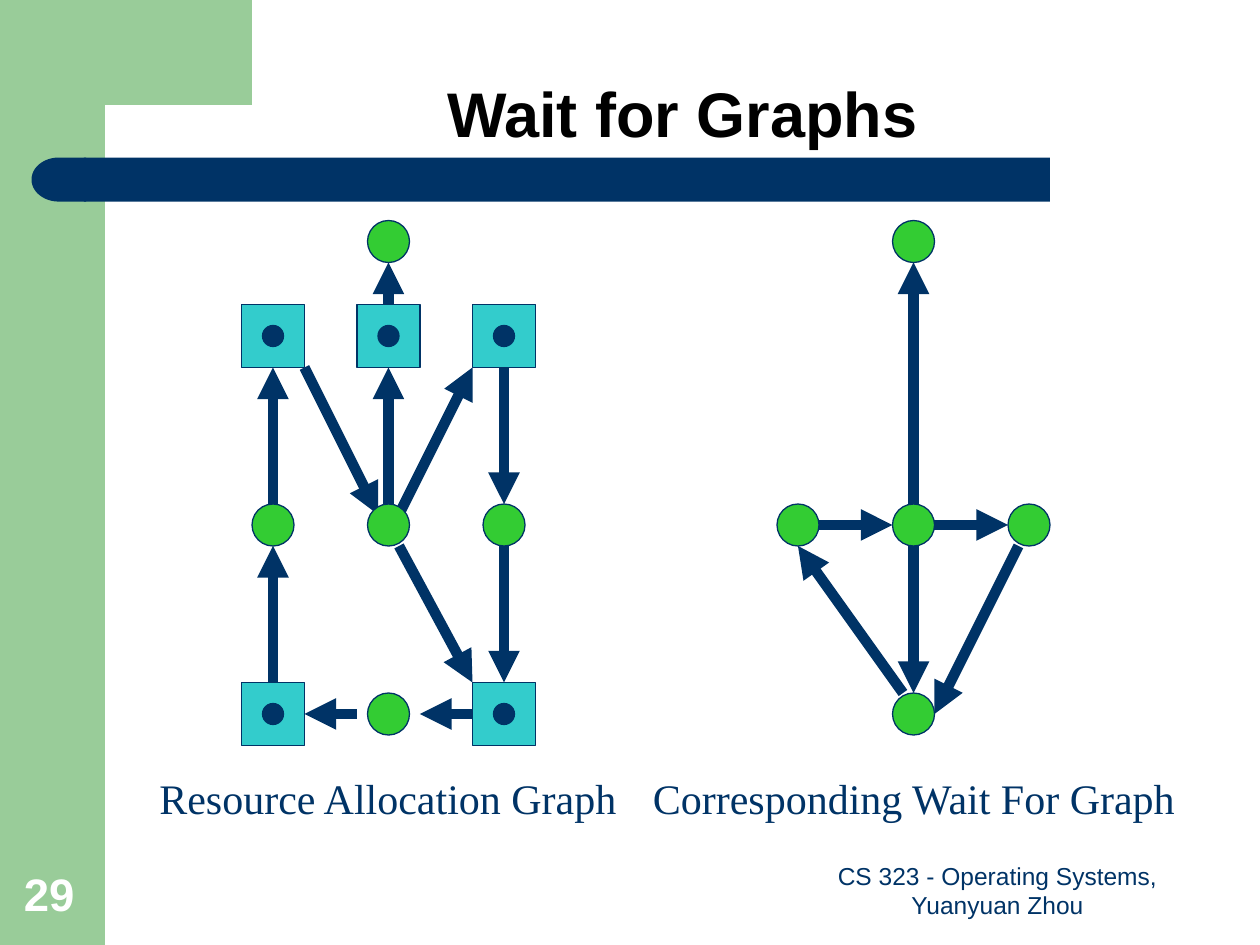
import pptx
import pptx.util
import pptx.dml.color
import pptx.enum.shapes
import pptx.enum.text
import pptx.oxml

RGB = pptx.dml.color.RGBColor
NAVY = RGB(0x00, 0x33, 0x66)
SAGE = RGB(0x99, 0xCC, 0x99)
GREEN = RGB(0x33, 0xCC, 0x33)
TEAL = RGB(0x33, 0xCC, 0xCC)
BLACK = RGB(0, 0, 0)
WHITE = RGB(0xFF, 0xFF, 0xFF)

KIND = pptx.enum.shapes.MSO_SHAPE
FIT = pptx.enum.text.MSO_AUTO_SIZE
BASE = pptx.enum.text.MSO_ANCHOR.BOTTOM
MID = pptx.enum.text.PP_ALIGN.CENTER
LEFT = pptx.enum.text.PP_ALIGN.LEFT
SPACE = 'xmlns:a="http://schemas.openxmlformats.org/drawingml/2006/main"'

COLS, ROWS = 120, 90

PROCS = [(37, 23), (26, 50), (37, 50), (48, 50), (37, 68),
         (87, 23), (76, 50), (87, 50), (98, 50), (87, 68)]
STORES = [(26, 32), (37, 32), (48, 32), (26, 68), (48, 68)]
ARROWS = [
    (37, 48, 37, 35), (37, 29, 37, 25), (38, 49, 45, 35), (29, 35, 36, 49),
    (38, 52, 45, 65), (48, 52, 48, 65), (26, 65, 26, 52), (26, 48, 26, 35),
    (34, 68, 29, 68), (45, 68, 40, 68), (48, 35, 48, 48),
    (87, 48, 87, 25), (89, 50, 96, 50), (87, 52, 87, 66),
    (86, 66, 76, 52), (78, 50, 85, 50), (97, 52, 89, 68),
]
CORNER = [(24, 0), (24, 10), (10, 10), (9.2, 10.2), (8.5, 11), (8.2, 12.5),
          (8, 14), (8, 15.4), (6, 15.4), (6, 0)]


class Page:
    def __init__(self, deck):
        self.slide = deck.slides.add_slide(deck.slide_layouts[5])
        self.shapes = self.slide.shapes
        self.cell = deck.slide_width / COLS

    def grid(self, *cells):
        return [round(n * self.cell) for n in cells]

    def paint(self, shape, fill, line=None):
        shape.shadow.inherit = False
        shape.fill.solid()
        shape.fill.fore_color.rgb = fill
        if line is None:
            shape.line.fill.background()
        else:
            shape.line.color.rgb = line
            shape.line.width = pptx.util.Pt(0.75)

    def block(self, kind, box, fill, line=None):
        shape = self.shapes.add_shape(kind, *self.grid(*box))
        self.paint(shape, fill, line)
        return shape

    def node(self, kind, spot, size, fill):
        x, y = spot
        self.block(kind, (x - size / 2, y - size / 2, size, size), fill, NAVY)

    def store(self, spot):
        self.node(KIND.RECTANGLE, spot, 6, TEAL)
        self.node(KIND.OVAL, spot, 2, NAVY)

    def outline(self, points, fill):
        path = self.shapes.build_freeform(*points[0], scale=self.cell)
        path.add_line_segments(points[1:], close=True)
        self.paint(path.convert_to_shape(), fill)

    def arrow(self, ends):
        line = self.shapes.add_connector(
            pptx.enum.shapes.MSO_CONNECTOR.STRAIGHT, *self.grid(*ends))
        line.line.color.rgb = NAVY
        line.line.width = pptx.util.Pt(6)
        line.line._get_or_add_ln().append(
            pptx.oxml.parse_xml(f'<a:tailEnd {SPACE} type="triangle"/>'))
        line._element.spPr.append(
            pptx.oxml.parse_xml(f'<a:effectLst {SPACE}/>'))

    def style(self, shape, text, size, font, color, bold=False, align=LEFT):
        shape.text_frame.text = text
        para = shape.text_frame.paragraphs[0]
        para.alignment = align
        face = para.runs[0].font
        face.name, face.size, face.bold = font, pptx.util.Pt(size), bold
        face.color.rgb = color
        return para

    def title(self, box, text):
        shape = self.shapes.title
        shape.left, shape.top, shape.width, shape.height = self.grid(*box)
        para = self.style(shape, text, 36, "Arial", BLACK, True, MID)
        para.line_spacing = 0.9
        shape.text_frame.auto_size = FIT.NONE
        shape.text_frame.vertical_anchor = BASE

    def label(self, box, text):
        shape = self.shapes.add_textbox(*self.grid(*box))
        self.style(shape, text, 24, "Times New Roman", NAVY)
        shape.text_frame.word_wrap = False
        shape.text_frame.auto_size = FIT.SHAPE_TO_FIT_TEXT

    def note(self, box, text, *look):
        shape = self.shapes.add_textbox(*self.grid(*box))
        self.style(shape, text, *look)
        shape.text_frame.word_wrap = True
        shape.text_frame.vertical_anchor = BASE


def main():
    deck = pptx.Presentation()
    deck.slide_width = pptx.util.Inches(10)
    deck.slide_height = pptx.util.Inches(7.5)
    page = Page(deck)

    page.block(KIND.RECTANGLE, (0, 0, 10, ROWS), SAGE)
    page.outline(CORNER, SAGE)
    page.block(KIND.RECTANGLE, (8, 15, 92, 4.2), NAVY)
    cap = page.block(KIND.FLOWCHART_DELAY, (3, 15, 5.2, 4.2), NAVY)
    cap._element.spPr.xfrm.set("flipH", "1")
    page.title((13, 0, 104, 15), "Wait for Graphs")

    for ends in ARROWS:
        page.arrow(ends)
    for spot in STORES:
        page.store(spot)
    for spot in PROCS:
        page.node(KIND.OVAL, spot, 4, GREEN)

    page.label((14, 73, 46.1, 6), "Resource Allocation Graph")
    page.label((61, 73, 52.4, 6), "Corresponding Wait For Graph")
    page.note((76, 82, 38, 6.2), "CS 323 - Operating Systems, Yuanyuan Zhou",
              14, "Arial", NAVY, False, MID)
    page.note((1.1, 82, 7.7, 6.3), "29", 26, "Arial", WHITE, True)
    deck.save("out.pptx")


if __name__ == "__main__":
    main()
